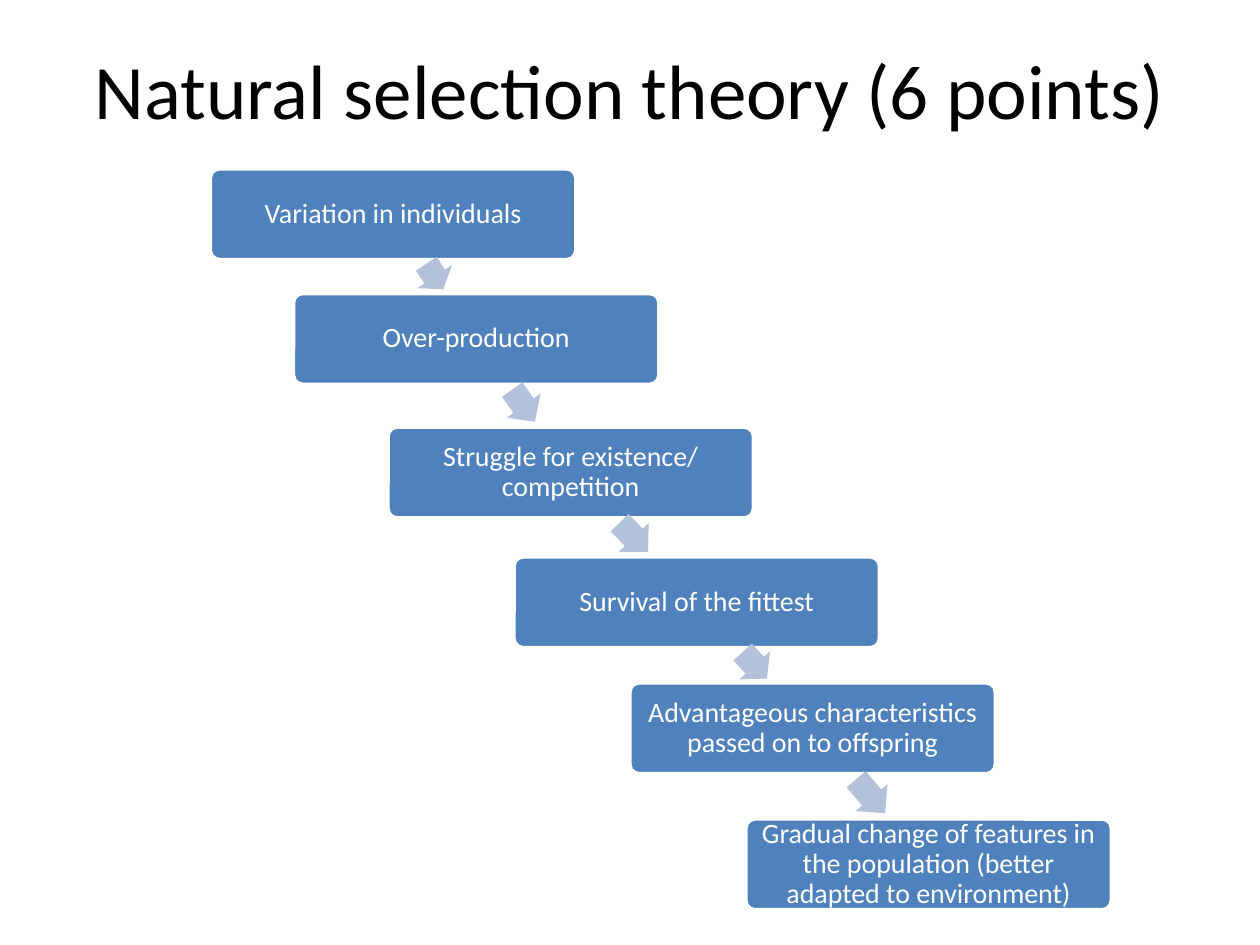
from math import atan2, degrees, hypot

from pptx import Presentation
from pptx.dml.color import RGBColor
from pptx.enum.shapes import MSO_SHAPE
from pptx.enum.text import MSO_ANCHOR, PP_ALIGN
from pptx.util import Inches, Pt

TITLE = "Natural selection theory (6 points)"
# (text, left, top) of each step, in inches
STEPS = [
    ("Variation in individuals", 1.67, 1.34),
    ("Over-production", 2.33, 2.33),
    ("Struggle for existence/ competition", 3.08, 3.39),
    ("Survival of the fittest", 4.08, 4.42),
    ("Advantageous characteristics passed on to offspring", 5, 5.42),
    ("Gradual change of features in the population (better adapted to environment)",
     5.92, 6.5),
]
THEME = {
    "font": "Calibri",
    "title_size": Pt(44),
    "step_size": Pt(16),
    "title": RGBColor.from_string("000000"),
    "step": RGBColor.from_string("4F81BD"),
    "arrow": RGBColor.from_string("B3C1DB"),
    "light": RGBColor.from_string("FFFFFF"),
}
BOX_W, BOX_H = 2.9, 0.72
ARROW_H = 0.33
ARROW_FILL = 0.75  # share of the gap between two boxes that an arrow spans


def write(sp, text, size, color):
    tf = sp.text_frame
    tf.word_wrap = True
    tf.vertical_anchor = MSO_ANCHOR.MIDDLE
    p = tf.paragraphs[0]
    p.alignment = PP_ALIGN.CENTER
    r = p.add_run()
    r.text = text
    r.font.name = THEME["font"]
    r.font.size = size
    r.font.color.rgb = color
    return tf


def add_filled(s, kind, box, color):
    sp = s.shapes.add_shape(kind, *(Inches(v) for v in box))
    sp.shadow.inherit = False
    sp.fill.solid()
    sp.fill.fore_color.rgb = color
    return sp


def add_step(s, text, left, top):
    sp = add_filled(s, MSO_SHAPE.ROUNDED_RECTANGLE, (left, top, BOX_W, BOX_H), THEME["step"])
    sp.adjustments[0] = 0.1
    sp.line.color.rgb = THEME["light"]
    sp.line.width = Pt(2)
    tf = write(sp, text, THEME["step_size"], THEME["light"])
    tf.margin_left = tf.margin_right = tf.margin_top = tf.margin_bottom = Inches(0.07)
    tf.paragraphs[0].line_spacing = 0.9


def add_arrow(s, start, end):
    """Centre an arrow in the gap between two steps, aimed from one to the next."""
    (_, x1, y1), (_, x2, y2) = start, end
    dx, dy = x2 - x1, y2 - y1
    length = ARROW_FILL * hypot(dx, dy) * (dy - BOX_H) / dy
    cx, cy = (x1 + x2 + BOX_W) / 2, (y1 + y2 + BOX_H) / 2
    box = (cx - length / 2, cy - ARROW_H / 2, length, ARROW_H)
    sp = add_filled(s, MSO_SHAPE.RIGHT_ARROW, box, THEME["arrow"])
    sp.adjustments[0] = 0.6
    sp.adjustments[1] = 0.5
    sp.line.fill.background()
    sp.rotation = degrees(atan2(dy, dx))


def main():
    prs = Presentation()
    prs.slide_width, prs.slide_height = Inches(10), Inches(7.5)
    s = prs.slides.add_slide(prs.slide_layouts[6])
    title = s.shapes.add_textbox(Inches(0.5), Inches(0.08), Inches(9), Inches(1.25))
    write(title, TITLE, THEME["title_size"], THEME["title"])
    add_step(s, *STEPS[0])
    for start, end in zip(STEPS, STEPS[1:]):
        add_arrow(s, start, end)
        add_step(s, *end)
    prs.save("out.pptx")


if __name__ == "__main__":
    main()
